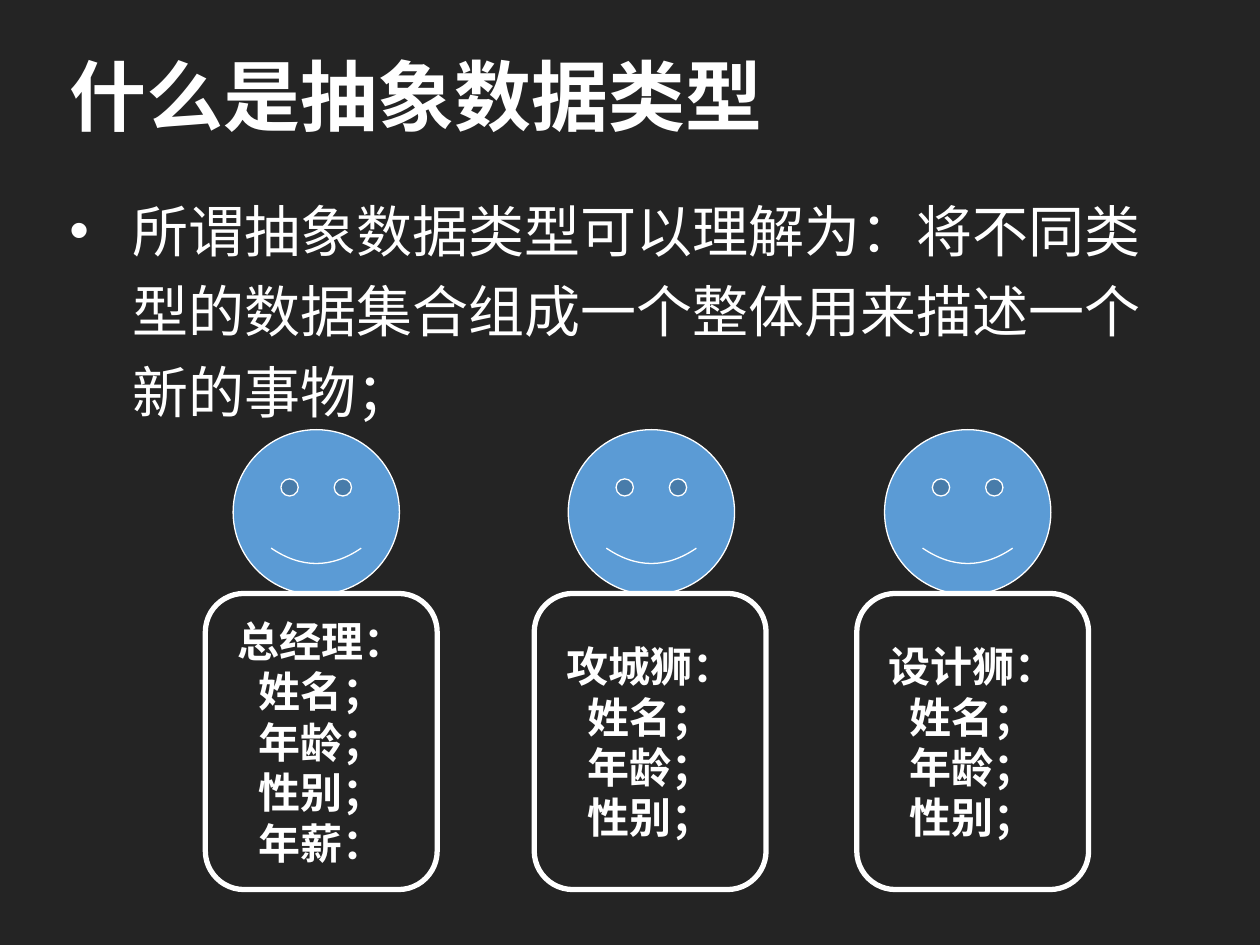
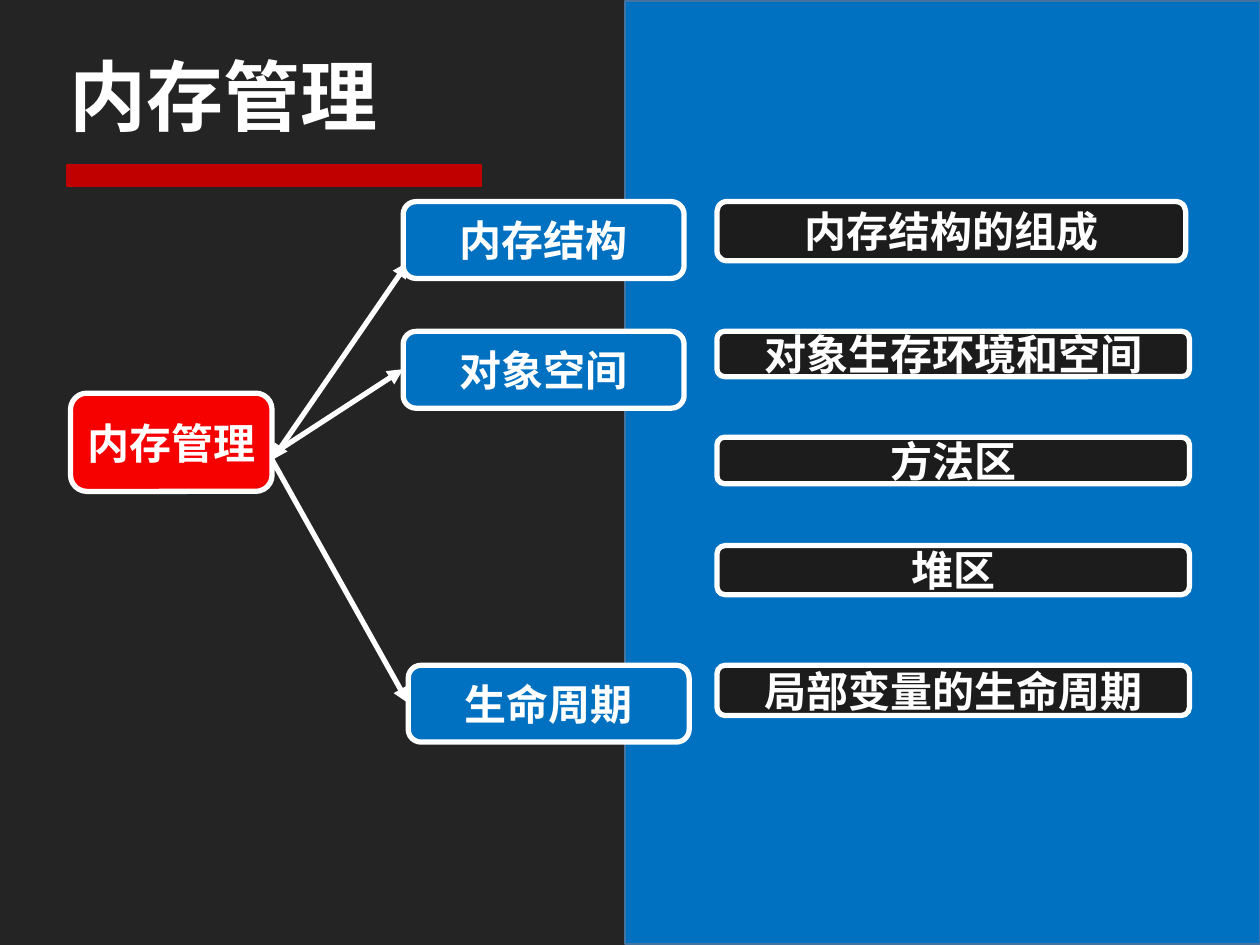
from lxml import etree
from pptx import Presentation
from pptx.dml.color import RGBColor
from pptx.enum.shapes import MSO_CONNECTOR, MSO_SHAPE
from pptx.enum.text import MSO_ANCHOR, MSO_AUTO_SIZE, PP_ALIGN
from pptx.oxml.ns import qn
from pptx.util import Pt

PX = 9144
FONT = "Noto Sans CJK SC"

BACKGROUND = RGBColor(0x24, 0x24, 0x24)
WHITE = RGBColor(0xFF, 0xFF, 0xFF)
FACE_BLUE = RGBColor(0x5B, 0x9B, 0xD5)
PANEL_BLUE = RGBColor(0x00, 0x70, 0xC0)
PANEL_EDGE = RGBColor(0x43, 0x73, 0x9E)
ROOT_RED = RGBColor(0xF6, 0x00, 0x00)
RULE_RED = RGBColor(0xC0, 0x00, 0x00)
DETAIL_BLACK = RGBColor(0x1C, 0x1C, 0x1C)

BOX = MSO_SHAPE.FLOWCHART_ALTERNATE_PROCESS
FACE = MSO_SHAPE.SMILEY_FACE
RECTANGLE = MSO_SHAPE.RECTANGLE
STRAIGHT = MSO_CONNECTOR.STRAIGHT
MIDDLE, TOP = MSO_ANCHOR.MIDDLE, MSO_ANCHOR.TOP
LEFT, CENTER = PP_ALIGN.LEFT, PP_ALIGN.CENTER
NO_FIT = MSO_AUTO_SIZE.NONE

TITLE_LAYOUT, TITLE_AND_BODY_LAYOUT = 5, 1
PEOPLE = [
    (185, 163, ["总经理：", "姓名；", "年龄；", "性别；", "年薪："]),
    (451, 424, ["攻城狮：", "姓名；", "年龄；", "性别；"]),
    (702, 680, ["设计狮：", "姓名；", "年龄；", "性别；"]),
]
TOPICS = [
    (320, 160, "内存结构"),
    (320, 263, "对象空间"),
    (324, 528, "生命周期"),
]
DETAILS = [
    (160, 372, 47, "内存结构的组成"),
    (263, 375, 36, "对象生存环境和空间"),
    (347, 375, 37, "方法区"),
    (433, 375, 39, "堆区"),
    (528, 375, 40, "局部变量的生命周期"),
]


def write_text(shape, lines, size=24, bold=True, align=CENTER, anchor=MIDDLE,
               wrap=False, margins=(10, 5), line_spacing=None, hanging=0):
    frame = shape.text_frame
    frame.auto_size = NO_FIT
    frame.word_wrap = wrap
    frame.vertical_anchor = anchor
    frame.margin_left = frame.margin_right = margins[0] * PX
    frame.margin_top = frame.margin_bottom = margins[1] * PX
    for index, line in enumerate(lines):
        paragraph = frame.paragraphs[0] if index == 0 else frame.add_paragraph()
        paragraph.alignment = align
        paragraph.space_before = Pt(0)
        if line_spacing:
            paragraph.line_spacing = line_spacing
        if hanging:
            properties = paragraph._p.get_or_add_pPr()
            properties.set("marL", str(hanging * PX))
            properties.set("indent", str(-hanging * PX))
        run = paragraph.add_run()
        run.text = line
        run.font.size = Pt(size)
        run.font.bold = bold
        run.font.color.rgb = WHITE
        run.font.name = FONT
        east_asian = etree.SubElement(run._r.get_or_add_rPr(), qn("a:ea"))
        east_asian.set("typeface", FONT)


def place(shape, left, top, width, height):
    shape.left, shape.top = left * PX, top * PX
    shape.width, shape.height = width * PX, height * PX


def add_titled_slide(prs, layout, heading):
    slide = prs.slides.add_slide(prs.slide_layouts[layout])
    place(slide.shapes.title, 45, 23, 909, 104)
    write_text(slide.shapes.title, [heading], size=44, align=LEFT, wrap=True)
    return slide


def add_figure(slide, kind, left, top, width, height, fill, line, weight):
    figure = slide.shapes.add_shape(
        kind, left * PX, top * PX, width * PX, height * PX)
    figure.shadow.inherit = False
    if fill is None:
        figure.fill.background()
    else:
        figure.fill.solid()
        figure.fill.fore_color.rgb = fill
    figure.line.color.rgb = line
    figure.line.width = Pt(weight)
    return figure


def add_box(slide, left, top, width, height, lines, fill=None):
    box = add_figure(slide, BOX, left, top, width, height, fill, WHITE, 3)
    write_text(box, lines, margins=(11, 6))


def add_arrow(slide, start, end, ends=("tailEnd",)):
    arrow = slide.shapes.add_connector(
        STRAIGHT, *(value * PX for value in start + end))
    arrow.line.color.rgb = WHITE
    arrow.line.width = Pt(3)
    outline = arrow.line._get_or_add_ln()
    for end_name in ends:
        etree.SubElement(outline, qn("a:" + end_name)).set("type", "triangle")
    etree.SubElement(arrow._element.spPr, qn("a:effectLst"))


def build_abstract_type_slide(prs):
    slide = add_titled_slide(prs, TITLE_AND_BODY_LAYOUT, "什么是抽象数据类型")
    definition = slide.placeholders[1]
    place(definition, 45, 140, 911, 555)
    write_text(
        definition,
        ["所谓抽象数据类型可以理解为：将不同类型的数据集合组成一个整体用来描述一个新的事物；"],
        size=32, bold=False, align=LEFT, anchor=TOP, wrap=True,
        line_spacing=1.2, hanging=50)
    for face_left, body_left, fields in PEOPLE:
        add_figure(slide, FACE, face_left, 341, 132, 131, FACE_BLUE, WHITE, 0.75)
        add_box(slide, body_left, 471, 184, 235, fields)


def build_memory_slide(prs):
    slide = add_titled_slide(prs, TITLE_LAYOUT, "内存管理")
    add_figure(slide, RECTANGLE, 496, 1, 504, 748, PANEL_BLUE, PANEL_EDGE, 1)
    add_figure(slide, RECTANGLE, 53, 131, 329, 17, RULE_RED, RULE_RED, 1)
    add_box(slide, 56, 312, 160, 78, ["内存管理"], ROOT_RED)
    add_arrow(slide, (216, 365), (324, 208), ("headEnd", "tailEnd"))
    for left, top, topic in TOPICS:
        add_box(slide, left, top, 223, 61, [topic], PANEL_BLUE)
    for top, width, height, detail in DETAILS:
        add_box(slide, 569, top, width, height, [detail], DETAIL_BLACK)
    add_arrow(slide, (220, 358), (320, 293))
    add_arrow(slide, (216, 365), (324, 558))


def main():
    prs = Presentation()
    prs.slide_width, prs.slide_height = 1000 * PX, 750 * PX
    backdrop = prs.slide_master.background.fill
    backdrop.solid()
    backdrop.fore_color.rgb = BACKGROUND
    build_abstract_type_slide(prs)
    build_memory_slide(prs)
    prs.save("out.pptx")


if __name__ == "__main__":
    main()
